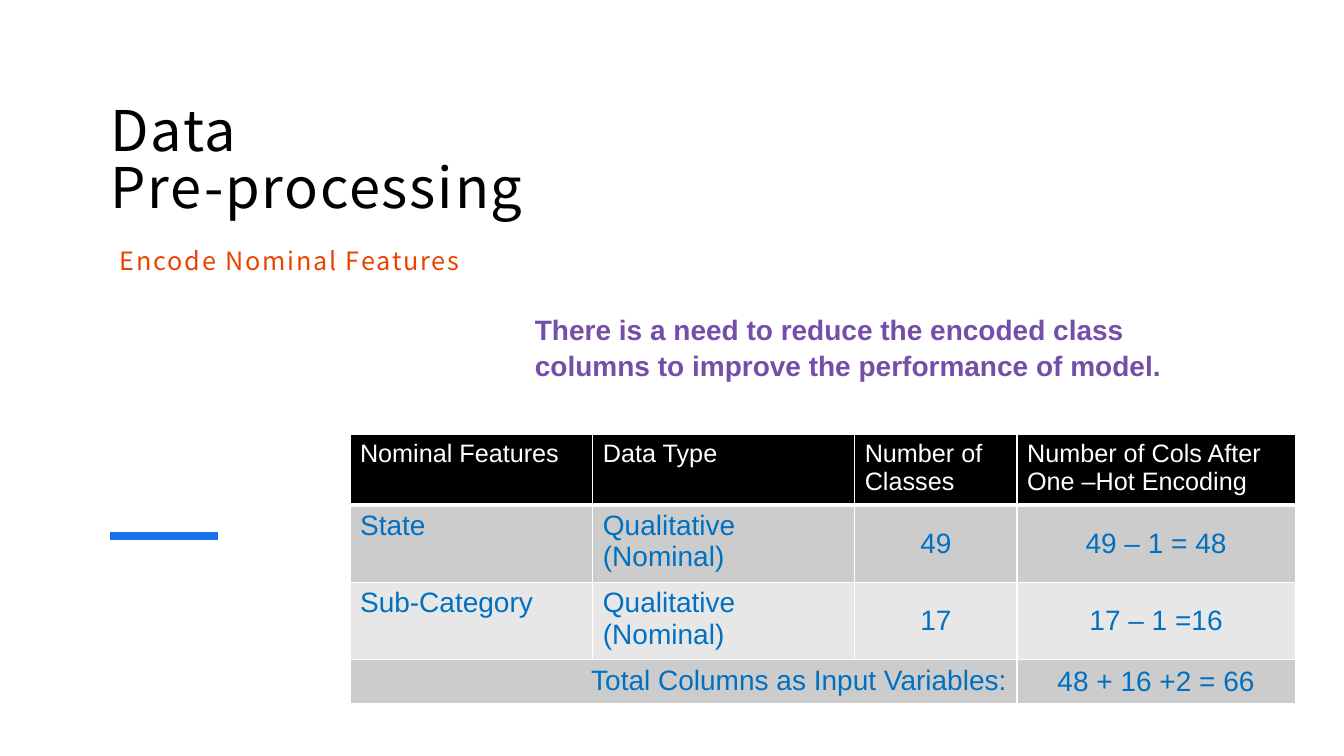
from lxml.etree import SubElement
from pptx import Presentation
from pptx.dml.color import RGBColor
from pptx.enum.shapes import MSO_CONNECTOR
from pptx.enum.text import MSO_ANCHOR as Anchor, PP_ALIGN as Align
from pptx.oxml.ns import qn
from pptx.util import Cm, Pt

WHITE, BLACK, BLUE = "FFFFFF", "000000", "0070C0"
LIGHT, DARK = "E7E7E7", "CCCCCC"


def colour(code):
    return RGBColor.from_string(code)


class SlideBuilder:
    heading_font = "Noto Sans CJK JP"
    body_font = "Arial"
    tracking = "130"

    def __init__(self, deck):
        self.page = deck.slides.add_slide(deck.slide_layouts[6])

    def fill_text(self, frame, text, code, tracking=None, align=Align.LEFT, spacing=1, **style):
        para = frame.paragraphs[0]
        para.text = text
        para.alignment = align
        para.line_spacing = spacing
        for span in para.runs:
            for name, value in style.items():
                setattr(span.font, name, value)
            span.font.color.rgb = colour(code)
            if tracking:
                span.font._element.set("spc", tracking)

    def text(self, area, text, code, **style):
        box = self.page.shapes.add_textbox(*map(Cm, area))
        box.text_frame.word_wrap = True
        self.fill_text(box.text_frame, text, code, **style)

    def heading(self, area, text, code, size):
        self.text(area, text, code, size=Pt(size), name=self.heading_font,
                  tracking=self.tracking, spacing=0.85)

    def line(self, start, end, code, width):
        line = self.page.shapes.add_connector(MSO_CONNECTOR.STRAIGHT, *map(Cm, start + end))
        line.line.color.rgb = colour(code)
        line.line.width = Pt(width)
        SubElement(line._element.spPr, qn("a:effectLst"))

    def borders(self, cell, code, widths):
        properties = cell._tc.get_or_add_tcPr()
        for index, (side, width) in enumerate(widths.items()):
            edge = properties.makeelement(qn(f"a:ln{side}"), {"w": str(Pt(width))})
            fill = SubElement(edge, qn("a:solidFill"))
            SubElement(fill, qn("a:srgbClr"), val=code)
            properties.insert(index, edge)

    def table(self, corner, widths, heights, rows, fills):
        area = (*corner, sum(widths), sum(heights))
        table = self.page.shapes.add_table(len(rows), len(widths), *map(Cm, area)).table
        for column, width in zip(table.columns, widths):
            column.width = Cm(width)
        for row, height in zip(table.rows, heights):
            row.height = Cm(height)
        last = len(rows) - 1
        table.cell(last, 0).merge(table.cell(last, 2))
        for r, (values, fill) in enumerate(zip(rows, fills)):
            header = r == 0
            for c, value in enumerate(values):
                cell = table.cell(r, c)
                cell.fill.solid()
                cell.fill.fore_color.rgb = colour(fill)
                self.borders(cell, WHITE, {"L": 1, "R": 1, "T": 1, "B": 3 if header else 1})
                if value is None:
                    continue
                centred = c > 1 and not header
                cell.vertical_anchor = Anchor.MIDDLE if centred else Anchor.TOP
                align = Align.CENTER if centred else Align.RIGHT if r == last else Align.LEFT
                self.fill_text(cell.text_frame, value, WHITE if header else BLUE, align=align,
                               size=Pt(18 if header else 20), name=self.body_font)


def main():
    deck = Presentation()
    deck.slide_width, deck.slide_height = Cm(33.87), Cm(19.05)
    slide = SlideBuilder(deck)
    slide.heading((2.54, 2.54, 11.2, 8.33), "Data \vPre-processing", BLACK, 40)
    slide.line((2.77, 13.51), (5.49, 13.51), "1973EB", 6)
    slide.heading((2.77, 6.17, 11.2, 1.07), "Encode Nominal Features", "EA4301", 18)
    slide.table(
        (8.82, 10.95), (6.12, 6.6, 4.09, 7.01), (1.65, 1.84, 1.84, 1.04),
        [
            ("Nominal Features", "Data Type", "Number of Classes",
             "Number of Cols After One –Hot Encoding"),
            ("State", "Qualitative (Nominal)", "49", "49 – 1 = 48"),
            ("Sub-Category", "Qualitative (Nominal)", "17", "17 – 1 =16"),
            ("Total Columns as Input Variables:", None, None, "48 + 16 +2 = 66"),
        ],
        (BLACK, DARK, LIGHT, DARK))
    slide.text(
        (13.23, 7.72, 17.6, 1.96),
        "There is a need to reduce the encoded class columns to improve the performance of model.",
        "744EA8", size=Pt(20), name=slide.body_font, bold=True, spacing=1.05)
    deck.save("out.pptx")


if __name__ == "__main__":
    main()
